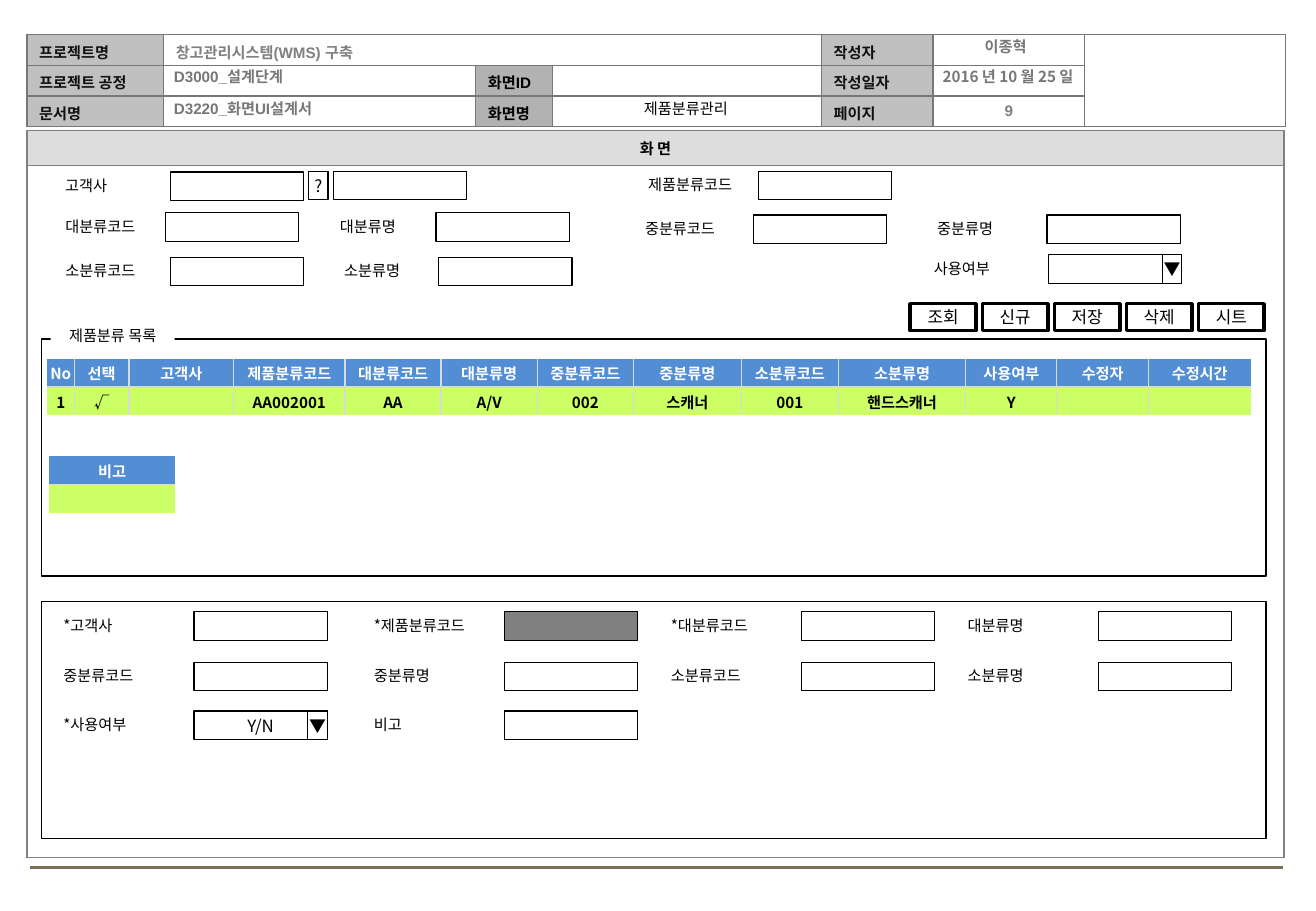
from lxml.etree import SubElement
from pptx import Presentation
from pptx.dml.color import RGBColor
from pptx.enum.shapes import MSO_CONNECTOR, MSO_SHAPE
from pptx.enum.text import MSO_ANCHOR, MSO_AUTO_SIZE, PP_ALIGN
from pptx.oxml.ns import qn
from pptx.util import Pt

NOTO = "Noto Sans CJK KR"
LEFT, MID = PP_ALIGN.LEFT, PP_ALIGN.CENTER
PLAIN = {"size": Pt(9), "name": NOTO, "bold": False}
BOLD = {**PLAIN, "bold": True}
HEAD = {**BOLD, "name": "Arial"}
BIG = {**PLAIN, "size": Pt(10)}
FIELD = (79, 17)
EDGES = {"l": "a:lnL", "r": "a:lnR", "t": "a:lnT", "b": "a:lnB"}
NO_GRID = "{2D5ABB26-0587-4C30-8999-92F81FD0307C}"


def paint(item, color):
    if color is None:
        item.background()
    else:
        item.solid()
        item.fore_color.rgb = RGBColor.from_string(color)


def assign(item, values):
    for key, value in values.items():
        setattr(item, key, value)


def margins(left, top, right, bottom):
    names = ("margin_left", "margin_top", "margin_right", "margin_bottom")
    return dict(zip(names, map(Pt, (left, top, right, bottom))))


def write(frame, text, font, color, align):
    para = frame.paragraphs[0]
    assign(para, {"alignment": align, "space_before": Pt(0)})
    if text:
        run = para.add_run()
        run.text = text
        assign(run.font, font)
        paint(run.font.fill, color)
        SubElement(run.font._element, qn("a:ea"), typeface=NOTO)
    else:
        SubElement(para._p, qn("a:endParaRPr"), sz="900")


def fill_text(shape, text, font, color, align):
    frame = shape.text_frame
    assign(frame, {"word_wrap": True, "auto_size": MSO_AUTO_SIZE.NONE,
                   "vertical_anchor": MSO_ANCHOR.MIDDLE,
                   **margins(7.2, 0, 7.2, 2)})
    write(frame, text, font, color, align)


def label(slide, box, text, font=PLAIN, color="000000", align=MID):
    shape = slide.shapes.add_textbox(*map(Pt, box))
    fill_text(shape, text, font, color, align)


def panel(slide, box, fill="FFFFFF", line="000000", width=0.75, text=""):
    shape = slide.shapes.add_shape(MSO_SHAPE.RECTANGLE, *map(Pt, box))
    shape.shadow.inherit = False
    paint(shape.fill, fill)
    paint(shape.line.fill, line)
    if line:
        shape.line.width = Pt(width)
    if text:
        assign(shape.text_frame, {"word_wrap": False,
                                  "vertical_anchor": MSO_ANCHOR.MIDDLE,
                                  **margins(1.5, 0, 1.5, 0)})
        write(shape.text_frame, text, BIG, "000000", MID)
    return shape


def border(cell, sides, color):
    props = cell._tc.get_or_add_tcPr()
    for spot, side in enumerate(s for s in EDGES if s in sides):
        line = SubElement(props, qn(EDGES[side]), w="12700")
        fill = SubElement(line, qn("a:solidFill"))
        SubElement(fill, qn("a:srgbClr"), val=color)
        props.insert(spot, line)


def add_grid(slide, left, top, cols, rows):
    table = slide.shapes.add_table(len(rows), len(cols), Pt(left), Pt(top),
                                   Pt(sum(cols)), Pt(sum(rows))).table
    assign(table, {"first_row": False, "horz_banding": False})
    table._tbl.tblPr[0].text = NO_GRID
    for column, width in zip(table.columns, cols):
        column.width = Pt(width)
    for row, height in zip(table.rows, rows):
        row.height = Pt(height)
    return table


def set_cell(cell, text, font, color, align, fill, pads, sides, edge):
    assign(cell, {"vertical_anchor": MSO_ANCHOR.MIDDLE, **margins(*pads)})
    write(cell.text_frame, text, font, color, align)
    paint(cell.fill, fill)
    border(cell, sides, edge)


def header(slide, left, top):
    cols = (81, 185, 45.5, 159.5, 66, 90, 119)
    rows = (
        ("프로젝트명", "창고관리시스템(WMS) 구축", "", "", "작성자", "", ""),
        ("프로젝트 공정", "", "화면ID", "", "작성일자", "", ""),
        ("문서명", "", "화면명", "", "페이지", "", ""),
    )
    fills = {0: "C0C0C0", 2: "B2B2B2", 4: "C0C0C0"}
    table = add_grid(slide, left, top, cols, (18.2,) * 3)
    table.cell(0, 1).merge(table.cell(0, 3))
    table.cell(0, 6).merge(table.cell(2, 6))
    for r, row in enumerate(rows):
        for c, text in enumerate(row):
            fill = None if (r, c) == (0, 2) else fills.get(c)
            color = {1: "808080", 2: "000000"}.get(c, "111111")
            set_cell(table.cell(r, c), text, HEAD, color, LEFT, fill,
                     (7.2, 2, 0, 0), "lrtb", "777777")
    label(slide, (left + 80, top + 17, 390, 18), "D3000_설계단계",
          HEAD, "777777", LEFT)
    label(slide, (left + 80, top + 36, 390, 18), "D3220_화면UI설계서",
          HEAD, "777777", LEFT)
    label(slide, (left + 523.5, top - 1, 113, 18), "이종혁", BOLD, "777777")
    label(slide, (left + 525, top + 17, 113, 18), "2016 년 10 월 25 일",
          BOLD, "777777")
    label(slide, (left + 537, top + 37, 90, 18), "9", HEAD, "7F7F7F")
    title = slide.shapes.title
    assign(title, dict(zip(("left", "top", "width", "height"),
                           map(Pt, (left + 312, top + 36, 157, 18)))))
    fill_text(title, "제품분류관리", PLAIN, "000000", MID)


def body(slide, left, top):
    table = add_grid(slide, left, top, (745,), (20.7, 410))
    for r, (text, fill) in enumerate((("화 면", "DDDDDD"), ("", None))):
        set_cell(table.cell(r, 0), text, HEAD, "000000", MID, fill,
                 (1.5, 0, 1.5, 0), "lrtb", "808080")
    line = slide.shapes.add_connector(
        MSO_CONNECTOR.STRAIGHT, *map(Pt, (left + 1.5, 514, left + 744.5, 514)))
    SubElement(line._element.spPr, qn("a:effectLst"))
    paint(line.line.fill, "7A6F54")
    line.line.width = Pt(1.75)


def search(slide, left, top):
    fields = (
        ("고객사", 6.5, 57, 85, 2),
        ("제품분류코드", 355, 76, 433.5, 1.5),
        ("대분류코드", 5.5, 76, 82, 26),
        ("대분류명", 164, 76, 242.5, 26),
        ("중분류코드", 357, 60, 430.5, 27.5),
        ("중분류명", 526, 60, 604.5, 27.5),
        ("소분류코드", 5.5, 76, 85, 52.5),
        ("소분류명", 165.5, 78, 244, 52.5),
        ("사용여부", 516, 76, 605.5, 51),
    )
    for text, start, width, field, drop in fields:
        label(slide, (left + start, top + drop, width, 18), text)
        panel(slide, (left + field, top + drop, *FIELD))
    panel(slide, (left + 181.5, top + 1.5, *FIELD))
    panel(slide, (left + 167, top + 1.5, 11.5, 17), text="?")
    panel(slide, (left + 673, top + 51, 11.5, 17), text="▼")


def buttons(slide, left, top):
    for n, text in enumerate(("조회", "신규", "저장", "삭제", "시트")):
        panel(slide, (left + n * 42.7, top, 39, 16), width=2, text=text)


def listing(slide, left, top, cols, rows):
    table = add_grid(slide, left, top, cols, (16.8, 16.8))
    looks = (("FFFFFF", "538ED5", "b"), ("000000", "CCFF66", "t"))
    last = len(cols) - 1
    for r, (color, fill, side) in enumerate(looks):
        for c, text in enumerate(rows[r]):
            sides = side + "l" * (c > 0) + "r" * (c < last)
            set_cell(table.cell(r, c), text, BOLD, color, MID, fill,
                     (0.7, 0.7, 0.7, 0), sides, "D9D9D9")


def results(slide, left, top, width, height):
    cols = (16, 32.5, 62, 66, 57, 57, 57, 64, 57.5, 75.5, 54, 54.5, 60.5)
    heads = ("No", "선택", "고객사", "제품분류코드", "대분류코드", "대분류명",
             "중분류코드", "중분류명", "소분류코드", "소분류명", "사용여부",
             "수정자", "수정시간")
    items = ("1", "√", "", "AA002001", "AA", "A/V", "002", "스캐너", "001",
             "핸드스캐너", "Y", "", "")
    listing(slide, left + 3.5, top + 11.5, cols, (heads, items))
    listing(slide, left + 4.5, top + 69.5, (75,), (("비고",), ("",)))
    panel(slide, (left, top, width, height), fill=None)
    legend = (left + 5.5, top - 10, 73.5, 18)
    panel(slide, legend, line=None)
    label(slide, legend, "제품분류 목록")


def detail(slide, left, top, width, height):
    rows = (
        ("*고객사", "*제품분류코드", "*대분류코드", "대분류명"),
        ("중분류코드", "중분류명", "소분류코드", "소분류명"),
        ("*사용여부", "비고"),
    )
    panel(slide, (left, top, width, height), fill=None)
    for drop, row in zip((6, 36, 65), rows):
        for start, text in zip((6, 190, 366, 542), row):
            x, y = left + start, top + drop
            label(slide, (x, y, 84, 18), text, align=LEFT)
            fill = "808080" if text == "*제품분류코드" else "FFFFFF"
            value = "Y/N" if text == "*사용여부" else ""
            panel(slide, (x + 84.5, y, *FIELD), fill, text=value)
            if value:
                panel(slide, (x + 152, y, 11.5, 17), text="▼")


def main():
    deck = Presentation()
    assign(deck, {"slide_width": Pt(780), "slide_height": Pt(540)})
    slide = deck.slides.add_slide(deck.slide_layouts[5])
    header(slide, 16, 20.5)
    body(slide, 16, 77.5)
    search(slide, 16, 100)
    buttons(slide, 539.5, 180)
    results(slide, 24.5, 201, 726, 140.5)
    detail(slide, 24.5, 356.5, 726, 140.5)
    deck.save("out.pptx")


if __name__ == "__main__":
    main()
